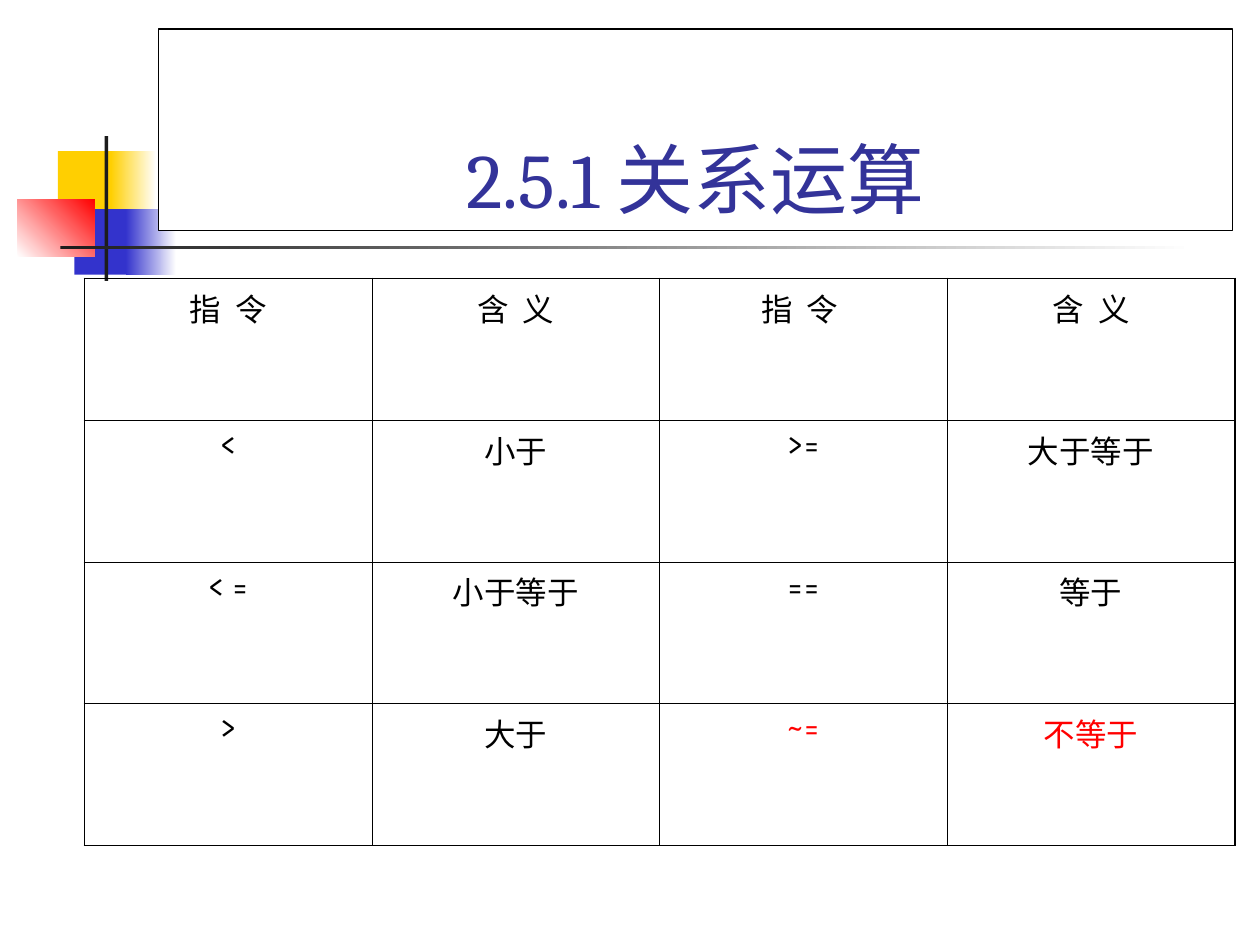
"""Build the slide on relational operators."""
from lxml.etree import SubElement
from pptx import Presentation
from pptx.dml.color import RGBColor
from pptx.enum.shapes import MSO_SHAPE
from pptx.enum.text import MSO_ANCHOR, MSO_AUTO_SIZE, PP_ALIGN
from pptx.oxml.ns import qn
from pptx.util import Inches, Pt

TITLE = "2.5.1 关系运算"
TITLE_BOX = (1.26, 0.23, 8.52, 1.6)
ROWS = [
    ["指  令", "含  义", "指  令 ", "含  义"],
    ["<", "小于", ">=", "大于等于"],
    ["< =", "小于等于", "==", "等于"],
    [">", "大于", "~=", "不等于"],
]
HIGHLIGHTED = ("~=", "不等于")
TABLE_BOX = (0.67, 2.21, 9.13, 4.5)
OUTER_BORDER, INNER_BORDER = 1.08, 0.45

DECORATIONS = [
    ((0.46, 1.2, 0.48, 0.52), ["FFCF01"], 0),
    ((0.88, 1.2, 0.36, 0.52), ["FFCF01", "FFFFFF"], 0),
    ((0.59, 1.66, 0.46, 0.52), ["3333CC"], 0),
    ((1, 1.66, 0.4, 0.52), ["3333CC", "FFFFFF"], 0),
    ((0.14, 1.58, 0.61, 0.46), ["FFFFFF", "FF0000"], 45),
    ((0.83, 1.08, 0.03, 1.15), ["1C1C1C"], 0),
    ((0.48, 1.95, 9, 0.03), ["1C1C1C", "FFFFFF"], 0),
]


def color(value):
    return RGBColor.from_string(value)


def inches(box):
    return [Inches(length) for length in box]


def fill_solid(target, value):
    target.fill.solid()
    target.fill.fore_color.rgb = color(value)


def write(text_frame, text, font, size, text_color="000000", space_before=0):
    paragraph = text_frame.paragraphs[0]
    paragraph.text = text
    paragraph.alignment = PP_ALIGN.CENTER
    paragraph.space_before = Pt(space_before)
    paragraph.font.name = font
    paragraph.font.size = Pt(size)
    paragraph.font.color.rgb = color(text_color)


def add_decoration(slide, box, colors, angle):
    shape = slide.shapes.add_shape(MSO_SHAPE.RECTANGLE, *inches(box))
    shape.shadow.inherit = False
    shape.line.fill.background()
    if len(colors) == 1:
        fill_solid(shape, colors[0])
        return
    shape.fill.gradient()
    shape.fill.gradient_angle = angle
    for stop, value in zip(shape.fill.gradient_stops, colors):
        stop.color.rgb = color(value)


def place_title(slide):
    title = slide.shapes.title
    slide.shapes.element.append(title.element)
    title.left, title.top, title.width, title.height = inches(TITLE_BOX)
    fill_solid(title, "FFFFFF")
    title.line.color.rgb = color("000000")
    title.line.width = Pt(0.75)
    title.text_frame.auto_size = MSO_AUTO_SIZE.NONE
    title.text_frame.vertical_anchor = MSO_ANCHOR.BOTTOM
    write(title.text_frame, TITLE, "Cambria", 44, "333399")


def set_borders(cell, outer_edges):
    properties = cell._tc.get_or_add_tcPr()
    for index, (edge, is_outer) in enumerate(outer_edges.items()):
        width = Pt(OUTER_BORDER if is_outer else INNER_BORDER)
        line = properties.makeelement(qn(f"a:{edge}"), {"w": str(int(width))})
        fill = SubElement(line, qn("a:solidFill"))
        SubElement(fill, qn("a:srgbClr"), val="000000")
        properties.insert(index, line)


def add_operator_table(slide):
    row_count, column_count = len(ROWS), len(ROWS[0])
    table = slide.shapes.add_table(row_count, column_count, *inches(TABLE_BOX)).table
    table.first_row = table.horz_banding = False
    for row, texts in enumerate(ROWS):
        for column, text in enumerate(texts):
            cell = table.cell(row, column)
            cell.fill.background()
            text_color = "FF0000" if text in HIGHLIGHTED else "000000"
            write(cell.text_frame, text, "Karla", 18, text_color, space_before=4.5)
            set_borders(cell, {
                "lnL": column == 0,
                "lnR": column == column_count - 1,
                "lnT": row == 0,
                "lnB": row == row_count - 1,
            })


def main():
    presentation = Presentation()
    presentation.slide_width, presentation.slide_height = Inches(10), Inches(7.5)
    slide = presentation.slides.add_slide(presentation.slide_layouts[5])
    for box, colors, angle in DECORATIONS:
        add_decoration(slide, box, colors, angle)
    place_title(slide)
    add_operator_table(slide)
    presentation.save("out.pptx")


if __name__ == "__main__":
    main()
